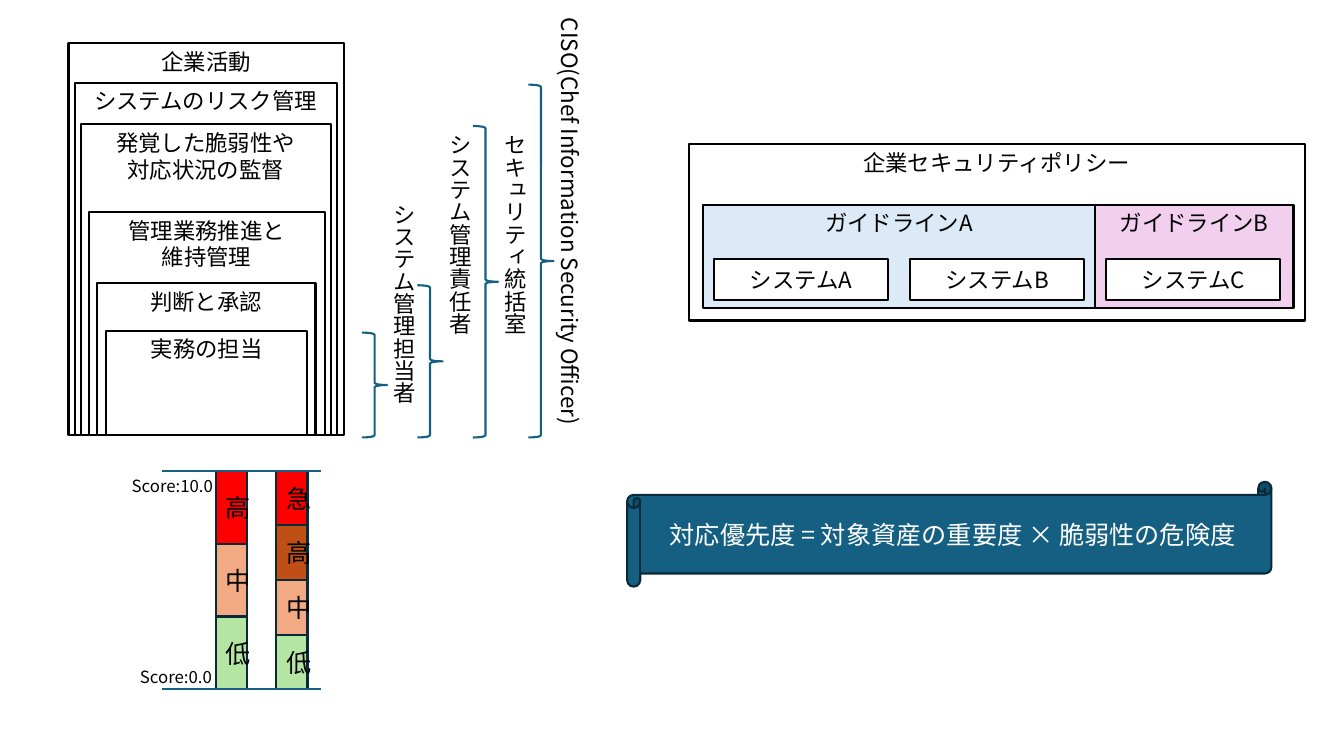
from dataclasses import dataclass

from lxml.etree import SubElement
from pptx import Presentation
from pptx.dml.color import RGBColor
from pptx.enum.shapes import MSO_CONNECTOR, MSO_SHAPE as Preset
from pptx.enum.text import MSO_ANCHOR as Anchor, MSO_AUTO_SIZE as AutoSize, PP_ALIGN as Align
from pptx.oxml.ns import qn
from pptx.util import Inches, Pt

FONT = "Noto Sans CJK JP"
BLACK, WHITE, TEAL, NAVY = "000000", "FFFFFF", "156082", "092A39"
RED, BROWN, ORANGE, GREEN = "FF0000", "C04F15", "F2AA84", "B4E5A2"
LINE_WIDTH = Pt(1.5)


@dataclass
class Box:
    left: float
    top: float
    width: float
    height: float
    text: str
    fill: str = WHITE
    line: str = BLACK
    color: str = BLACK
    size: int = 16
    anchor: Anchor = Anchor.TOP
    preset: Preset = Preset.RECTANGLE


@dataclass
class Label:
    left: float
    top: float
    width: float
    height: float
    text: str
    size: int = 16
    vertical: bool = False


@dataclass
class Scale:
    left: float
    levels: list[tuple[str, str]]


def rgb(value: str) -> RGBColor:
    return RGBColor.from_string(value)


def write(shape, text: str, size: int, color: str, align: Align, frame_format: dict) -> None:
    frame = shape.text_frame
    for name, value in frame_format.items():
        setattr(frame, name, value)
    for index, line in enumerate(text.split("\n")):
        para = frame.add_paragraph() if index else frame.paragraphs[0]
        para.alignment = align
        span = para.add_run()
        span.text = line
        for name, value in {"name": FONT, "size": Pt(size)}.items():
            setattr(span.font, name, value)
        span.font.color.rgb = rgb(color)
        SubElement(span.font._element, qn("a:ea"), typeface=FONT)


def outline(shape, color: str) -> None:
    shape.line.color.rgb = rgb(color)
    shape.line.width = LINE_WIDTH


def draw_box(page, box: Box) -> None:
    place = map(Inches, (box.left, box.top, box.width, box.height))
    shape = page.shapes.add_shape(box.preset, *place)
    shape.shadow.inherit = False
    shape.fill.solid()
    shape.fill.fore_color.rgb = rgb(box.fill)
    outline(shape, box.line)
    frame_format = {"word_wrap": True, "vertical_anchor": box.anchor}
    write(shape, box.text, box.size, box.color, Align.CENTER, frame_format)


def draw_label(page, label: Label) -> None:
    place = map(Inches, (label.left, label.top, label.width, label.height))
    shape = page.shapes.add_textbox(*place)
    align = Align.RIGHT if label.vertical else Align.CENTER
    frame_format = {"word_wrap": True, "auto_size": AutoSize.SHAPE_TO_FIT_TEXT}
    write(shape, label.text, label.size, BLACK, align, frame_format)
    if label.vertical:
        shape.text_frame._txBody.bodyPr.set("vert", "eaVert")


def draw_brace(page, left: float, top: float, height: float) -> None:
    place = map(Inches, (left, top, 0.25, height))
    shape = page.shapes.add_shape(Preset.RIGHT_BRACE, *place)
    shape.shadow.inherit = False
    shape.fill.background()
    outline(shape, TEAL)


def draw_limit(page, top: float) -> None:
    ends = map(Inches, (1.61, top, 3.18, top))
    limit = page.shapes.add_connector(MSO_CONNECTOR.STRAIGHT, *ends)
    outline(limit, TEAL)
    SubElement(limit._element.spPr, qn("a:effectLst"))


def draw_scale(page, scale: Scale, top: float, bottom: float) -> None:
    height = (bottom - top) / len(scale.levels)
    for index, (text, fill) in enumerate(scale.levels):
        draw_box(page, Box(scale.left, top + index * height, 0.31, height, text, fill,
                           NAVY, size=18, anchor=Anchor.MIDDLE))


DUTY_BOTTOM = 4.32
DUTIES = [
    (0.68, 0.43, 2.73, "企業活動"),
    (0.74, 0.82, 2.6, "システムのリスク管理"),
    (0.8, 1.23, 2.48, "発覚した脆弱性や\n対応状況の監督"),
    (0.88, 2.1, 2.34, "管理業務推進と\n維持管理"),
    (0.96, 2.81, 2.17, "判断と承認"),
    (1.05, 3.28, 2, "実務の担当"),
]
BRACE_BOTTOM = 4.34
BRACE_HEIGHTS = [1.04, 1.51, 3.09, 3.5]
ROLES = [
    (1.92, 2.42, "システム管理担当者"),
    (1.23, 3.09, "システム管理責任者"),
    (1.23, 3.09, "セキュリティ統括室"),
    (0.08, 4.26, "CISO(Chef Information Security Officer)"),
]
POLICIES = [
    Box(6.83, 1.43, 6.11, 1.75, "企業セキュリティポリシー"),
    Box(6.97, 2.03, 3.89, 1.03, "ガイドラインA", "DCEAF7"),
    Box(10.86, 2.03, 1.97, 1.03, "ガイドラインB", "F2CFEE"),
]
SCORE_TOP, SCORE_BOTTOM = 4.67, 6.84
SCALES = [
    Scale(2.14, [("高", RED), ("中", ORANGE), ("低", GREEN)]),
    Scale(2.74, [("急", RED), ("高", BROWN), ("中", ORANGE), ("低", GREEN)]),
]
SCORES = [
    Label(1.25, 6.57, 0.99, 0.3, "Score:0.0", 12),
    Label(1.18, 4.67, 1.06, 0.3, "Score:10.0", 12),
]
FORMULA = Box(6.22, 4.78, 6.39, 1.04, "対応優先度 = 対象資産の重要度 × 脆弱性の危険度", TEAL, NAVY,
              WHITE, 18, Anchor.MIDDLE, Preset.HORIZONTAL_SCROLL)


def main() -> None:
    deck = Presentation()
    deck.slide_width, deck.slide_height = Inches(13.33), Inches(7.5)
    page = deck.slides.add_slide(deck.slide_layouts[6])

    for left, top, width, text in DUTIES:
        draw_box(page, Box(left, top, width, DUTY_BOTTOM - top, text))
    for index, height in enumerate(BRACE_HEIGHTS):
        draw_brace(page, 3.59 + index * 0.55, BRACE_BOTTOM - height, height)
    for index, (top, height, text) in enumerate(ROLES):
        draw_label(page, Label(3.72 + index * 0.55, top, 0.47, height, text, vertical=True))
    for policy in POLICIES:
        draw_box(page, policy)
    for index, name in enumerate("ABC"):
        draw_box(page, Box(7.08 + index * 1.945, 2.57, 1.73, 0.41, f"システム{name}",
                           anchor=Anchor.MIDDLE))
    draw_box(page, FORMULA)
    for scale in SCALES:
        draw_scale(page, scale, SCORE_TOP, SCORE_BOTTOM)
    for top in (SCORE_BOTTOM, SCORE_TOP):
        draw_limit(page, top)
    for score in SCORES:
        draw_label(page, score)

    deck.save("out.pptx")


if __name__ == "__main__":
    main()
